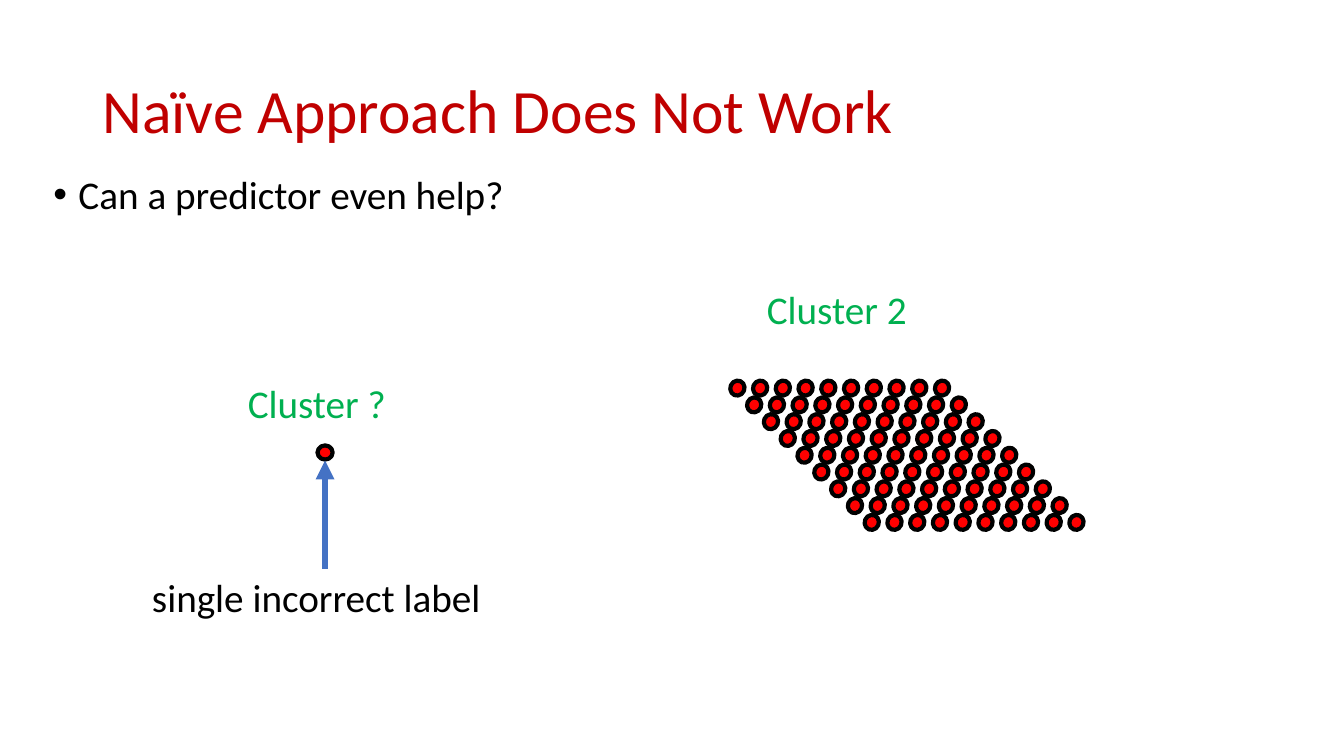
from lxml import etree
from pptx import Presentation
from pptx.dml.color import RGBColor
from pptx.enum.shapes import MSO_CONNECTOR, MSO_SHAPE
from pptx.enum.text import MSO_ANCHOR, MSO_AUTO_SIZE
from pptx.oxml.ns import qn
from pptx.util import Pt

LINE = MSO_CONNECTOR.STRAIGHT
OVAL = MSO_SHAPE.OVAL
MIDDLE = MSO_ANCHOR.MIDDLE
GROW = MSO_AUTO_SIZE.SHAPE_TO_FIT_TEXT
FONT = "Calibri"
HUES = {"black": "000000", "title": "C00000", "label": "00B050",
        "dot": "FF0000", "arrow": "4472C4"}
DOT_W, DOT_H = 10.8, 10.08


def hue(name):
    """Return the named colour."""
    return RGBColor.from_string(HUES[name])


def add_text(slide, box, words, size, tint):
    """Add a wrapped text box with one run and return it."""
    shape = slide.shapes.add_textbox(*map(Pt, box))
    shape.text_frame.word_wrap = True
    run = shape.text_frame.paragraphs[0].add_run()
    run.text = words
    run.font.name = FONT
    run.font.size = Pt(size)
    run.font.color.rgb = hue(tint)
    return shape


def add_label(slide, box, words, tint):
    """Add a text box that grows with its text and return it."""
    shape = add_text(slide, box, words, 28, tint)
    shape.text_frame.auto_size = GROW
    return shape


def add_title(slide, box):
    """Add the slide title, centred vertically."""
    frame = add_text(slide, box, "Naïve Approach Does Not Work", 44, "title").text_frame
    frame.vertical_anchor = MIDDLE
    frame.paragraphs[0].line_spacing = 0.9


def add_body(slide, box):
    """Add the bulleted question."""
    frame = add_text(slide, box, "Can a predictor even help?", 28, "black").text_frame
    para = frame.paragraphs[0]
    para.line_spacing = 0.9
    props = para._p.get_or_add_pPr()
    props.set("marL", str(Pt(18)))
    props.set("indent", str(-Pt(18)))
    etree.SubElement(props, qn("a:buFont")).set("typeface", "Arial")
    etree.SubElement(props, qn("a:buChar")).set("char", "•")


def add_dot(slide, left, top, turn=0):
    """Add one data point."""
    dot = slide.shapes.add_shape(OVAL, Pt(left), Pt(top), Pt(DOT_W), Pt(DOT_H))
    dot.rotation = turn
    dot.shadow.inherit = False
    dot.fill.solid()
    dot.fill.fore_color.rgb = hue("dot")
    dot.line.color.rgb = hue("black")
    dot.line.width = Pt(3)


def add_arrow(slide, source, tip):
    """Add an arrow from the top of the source box up to the tip."""
    x, y = map(Pt, tip)
    arrow = slide.shapes.add_connector(LINE, x, source.top, x, y)
    arrow.begin_connect(source, 0)
    arrow.line.color.rgb = hue("arrow")
    arrow.line.width = Pt(4.5)
    etree.SubElement(arrow.line._get_or_add_ln(), qn("a:tailEnd")).set("type", "triangle")
    etree.SubElement(arrow._element.spPr, qn("a:effectLst"))


def add_single(slide, box):
    """Add the lone point with its cluster label, arrow and caption."""
    left, top, width, height = box
    mid = left + width / 2
    dot_top = top + 51.1
    add_dot(slide, mid - DOT_W / 2, dot_top)
    note = add_label(slide, (left, top + height - 41, width, 41),
                     "single incorrect label", "black")
    add_arrow(slide, note, (mid, dot_top + DOT_H + 0.7))
    add_label(slide, (left + 68.4, top, 165.6, 41), "Cluster ?", "label")


def add_cluster(slide, box, rows=9, cols=10, shift=12):
    """Add a slanted grid of points below its cluster label."""
    left, top, width, height = box
    grid_top = top + 72
    step_y = (height - 72 - DOT_H) / (rows - 1)
    step_x = (width - DOT_W - shift * (rows - 1)) / (cols - 1)
    for row in range(rows):
        for col in range(cols):
            add_dot(slide, left + col * step_x + row * shift,
                    grid_top + row * step_y, 293.1)
    add_label(slide, (left + 19.4, top, 165.6, 41), "Cluster 2", "label")


def main():
    """Build and save the slide."""
    deck = Presentation()
    deck.slide_width, deck.slide_height = Pt(960), Pt(540)
    slide = deck.slides.add_slide(deck.slide_layouts[6])
    add_body(slide, (31, 121.7, 897.8, 403.2))
    add_title(slide, (66.2, 28.8, 828, 104.4))
    add_single(slide, (101.5, 267.1, 261.4, 180))
    add_cluster(slide, (521.3, 200.2, 253, 178))
    deck.save("out.pptx")


if __name__ == "__main__":
    main()
